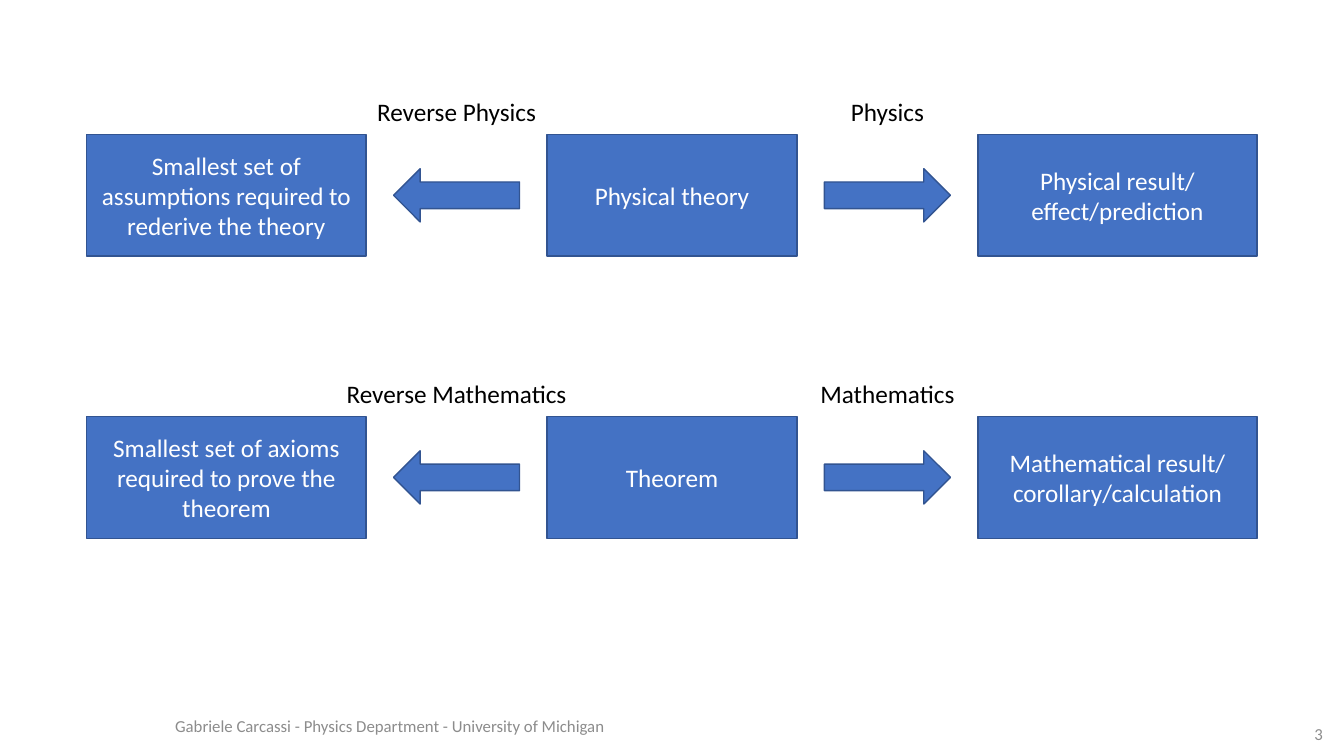
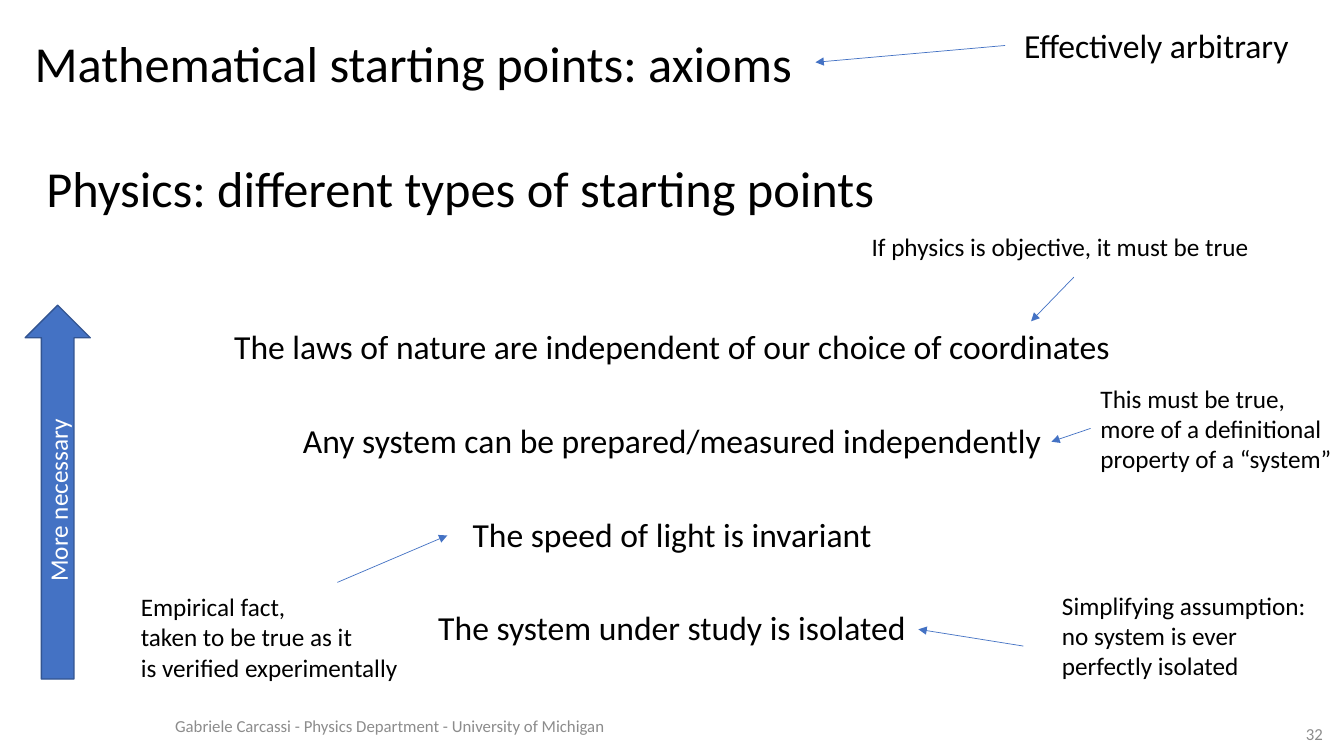
import dataclasses

import lxml.etree
import pptx
import pptx.dml.color
import pptx.enum.shapes
import pptx.enum.text
import pptx.oxml.ns
import pptx.presentation
import pptx.shapes.autoshape
import pptx.slide
import pptx.text.text
import pptx.util

Pt = pptx.util.Pt
RGBColor = pptx.dml.color.RGBColor
Align = pptx.enum.text.PP_ALIGN
Anchor = pptx.enum.text.MSO_ANCHOR
Shape = pptx.enum.shapes.MSO_SHAPE

# Shared style
BLUE = RGBColor(0x44, 0x72, 0xC4)
BLUE_EDGE = RGBColor(0x32, 0x54, 0x91)
WHITE = RGBColor(0xFF, 0xFF, 0xFF)
BLACK = RGBColor(0x00, 0x00, 0x00)
GRAY = RGBColor(0x8C, 0x8C, 0x8C)
FONT = "Calibri"
FOOTER = "Gabriele Carcassi - Physics Department - University of Michigan"
HEADING_SIZE, STATEMENT_SIZE, NOTE_SIZE, FOOTER_SIZE = 36, 24, 18, 12


@dataclasses.dataclass(frozen=True)
class Area:
    """A rectangle in points."""

    left: float
    top: float
    width: float
    height: float

    def lengths(self) -> tuple[pptx.util.Length, ...]:
        return Pt(self.left), Pt(self.top), Pt(self.width), Pt(self.height)


@dataclasses.dataclass(frozen=True)
class FlowRow:
    """Three boxes, with a labelled arrow from the middle one to each side."""

    top: float
    boxes: tuple[str, str, str]
    reverse_label: str
    forward_label: str


@dataclasses.dataclass(frozen=True)
class Note:
    """A remark and the arrow that leads from it to its subject."""

    text: str
    area: Area
    arrow_start: tuple[float, float]
    arrow_end: tuple[float, float]
    size: float = NOTE_SIZE


FLOW_ROWS = (
    FlowRow(
        96,
        (
            "Smallest set of assumptions required to rederive the theory",
            "Physical theory",
            "Physical result/\neffect/prediction",
        ),
        "Reverse Physics",
        "Physics",
    ),
    FlowRow(
        297.5,
        (
            "Smallest set of axioms required to prove the theorem",
            "Theorem",
            "Mathematical result/\ncorollary/calculation",
        ),
        "Reverse Mathematics",
        "Mathematics",
    ),
)
FLOW_LEFT, FLOW_GAP = 62, 129.25
BOX_WIDTHS = (199.5, 178.5, 199.5)
BOX_HEIGHT = 87
ARROW_WIDTH, ARROW_HEIGHT = 90, 38
LABEL_WIDTH, LABEL_HEIGHT = 174, 29

STATEMENTS = (
    "The laws of nature are independent of our choice of coordinates",
    "Any system can be prepared/measured independently",
    "The speed of light is invariant",
    "The system under study is isolated",
)
NOTES = (
    Note("Effectively arbitrary", Area(724.5, 14.5, 206, 36), (718, 32.5), (582.5, 44.5), STATEMENT_SIZE),
    Note("If physics is objective, it must be true", Area(615.5, 162, 287, 29), (767, 198), (736.5, 229.5)),
    Note(
        "This must be true,\nmore of a definitional\nproperty of a “system”",
        Area(779, 270, 181, 73), (779, 306), (751, 315.5),
    ),
    Note(
        "Empirical fact,\ntaken to be true as it\nis verified experimentally",
        Area(93.5, 419, 200, 73), (241, 416), (319.5, 382.5),
    ),
    Note(
        "Simplifying assumption:\nno system is ever\nperfectly isolated",
        Area(751.5, 418, 191, 73), (731, 461.5), (656, 449.5),
    ),
)


def write_text(
    frame: pptx.text.text.TextFrame,
    *paragraphs: str,
    size: float = NOTE_SIZE,
    color: RGBColor = BLACK,
    align: Align = Align.LEFT,
    anchor: Anchor = Anchor.TOP,
    wrap: bool = True,
    space_after: float = 0,
) -> None:
    frame.auto_size = pptx.enum.text.MSO_AUTO_SIZE.NONE
    frame.word_wrap = wrap
    frame.vertical_anchor = anchor
    for index, text in enumerate(paragraphs):
        paragraph = frame.add_paragraph() if index else frame.paragraphs[0]
        paragraph.text = text
        paragraph.alignment = align
        paragraph.space_before = Pt(0)
        paragraph.space_after = Pt(space_after)
        for run in paragraph.runs:
            run.font.name = FONT
            run.font.size = Pt(size)
            run.font.color.rgb = color


def add_text(slide: pptx.slide.Slide, text: str, area: Area, **text_format) -> None:
    write_text(slide.shapes.add_textbox(*area.lengths()).text_frame, text, **text_format)


def add_block(
    slide: pptx.slide.Slide, kind: Shape, area: Area, text: str = ""
) -> pptx.shapes.autoshape.Shape:
    shape = slide.shapes.add_shape(kind, *area.lengths())
    shape.shadow.inherit = False
    shape.fill.solid()
    shape.fill.fore_color.rgb = BLUE
    shape.line.color.rgb = BLUE_EDGE
    shape.line.width = Pt(1)
    if text:
        write_text(shape.text_frame, text, color=WHITE, align=Align.CENTER, anchor=Anchor.MIDDLE)
    return shape


def add_arrow(slide: pptx.slide.Slide, start: tuple[float, float], end: tuple[float, float]) -> None:
    connector = slide.shapes.add_connector(
        pptx.enum.shapes.MSO_CONNECTOR.STRAIGHT, *(Pt(value) for value in start + end)
    )
    connector.line.color.rgb = BLUE
    connector.line.width = Pt(0.5)
    qn = pptx.oxml.ns.qn
    properties = connector._element.spPr
    lxml.etree.SubElement(properties.find(qn("a:ln")), qn("a:tailEnd"), type="triangle")
    lxml.etree.SubElement(properties, qn("a:effectLst"))


def place(shape: pptx.shapes.autoshape.Shape, area: Area) -> None:
    shape.left, shape.top, shape.width, shape.height = area.lengths()


def add_slide(
    presentation: pptx.presentation.Presentation, layout_name: str, number: int
) -> pptx.slide.Slide:
    slide = presentation.slides.add_slide(presentation.slide_layouts.get_by_name(layout_name))
    footer_format = {"size": FOOTER_SIZE, "color": GRAY, "anchor": Anchor.MIDDLE}
    add_text(slide, FOOTER, Area(118, 504, 470, 29), **footer_format)
    add_text(slide, str(number), Area(908, 515, 44, 18), align=Align.RIGHT, **footer_format)
    return slide


def add_flow_row(slide: pptx.slide.Slide, row: FlowRow) -> None:
    # Boxes
    left = FLOW_LEFT
    gap_centers = []
    for text, width in zip(row.boxes, BOX_WIDTHS):
        add_block(slide, Shape.RECTANGLE, Area(left, row.top, width, BOX_HEIGHT), text)
        gap_centers.append(left + width + FLOW_GAP / 2)
        left += width + FLOW_GAP

    # Arrows centred in the gaps, each below its label
    arrows = ((Shape.LEFT_ARROW, row.reverse_label), (Shape.RIGHT_ARROW, row.forward_label))
    arrow_top = row.top + (BOX_HEIGHT - ARROW_HEIGHT) / 2
    for center, (kind, label) in zip(gap_centers, arrows):
        add_block(slide, kind, Area(center - ARROW_WIDTH / 2, arrow_top, ARROW_WIDTH, ARROW_HEIGHT))
        label_area = Area(center - LABEL_WIDTH / 2, row.top - 31, LABEL_WIDTH, LABEL_HEIGHT)
        add_text(slide, label, label_area, align=Align.CENTER, wrap=False)


def build_flow_slide(presentation: pptx.presentation.Presentation) -> None:
    slide = add_slide(presentation, "Blank", 3)
    for row in FLOW_ROWS:
        add_flow_row(slide, row)


def build_starting_points_slide(presentation: pptx.presentation.Presentation) -> None:
    slide = add_slide(presentation, "Title and Content", 32)

    # Headings
    title = slide.shapes.title
    place(title, Area(17.5, 19.5, 741, 51))
    write_text(title.text_frame, "Mathematical starting points: axioms", size=HEADING_SIZE)
    add_text(
        slide, "Physics: different types of starting points", Area(26, 108.5, 741, 51), size=HEADING_SIZE
    )

    # Statements, centred without bullets
    body = slide.placeholders[1]
    place(body, Area(155, 229.5, 650, 240))
    write_text(
        body.text_frame, *STATEMENTS, size=STATEMENT_SIZE, align=Align.CENTER, space_after=38
    )
    for paragraph in body.text_frame.paragraphs:
        properties = paragraph._p.get_or_add_pPr()
        properties.set("marL", "0")
        properties.set("indent", "0")
        lxml.etree.SubElement(properties, pptx.oxml.ns.qn("a:buNone"))

    # Notes
    for note in NOTES:
        add_text(slide, note.text, note.area, size=note.size, wrap=False)
        add_arrow(slide, note.arrow_start, note.arrow_end)

    # Scale of necessity, read upwards
    scale = add_block(slide, Shape.UP_ARROW, Area(18, 218, 46.5, 267), "More necessary")
    frame = scale.text_frame
    frame.margin_left = frame.margin_right = frame.margin_top = frame.margin_bottom = 0
    frame._txBody.bodyPr.set("vert", "vert270")


def main() -> None:
    presentation = pptx.Presentation()
    presentation.slide_width = Pt(960)
    presentation.slide_height = Pt(540)
    build_flow_slide(presentation)
    build_starting_points_slide(presentation)
    presentation.save("out.pptx")


if __name__ == "__main__":
    main()
